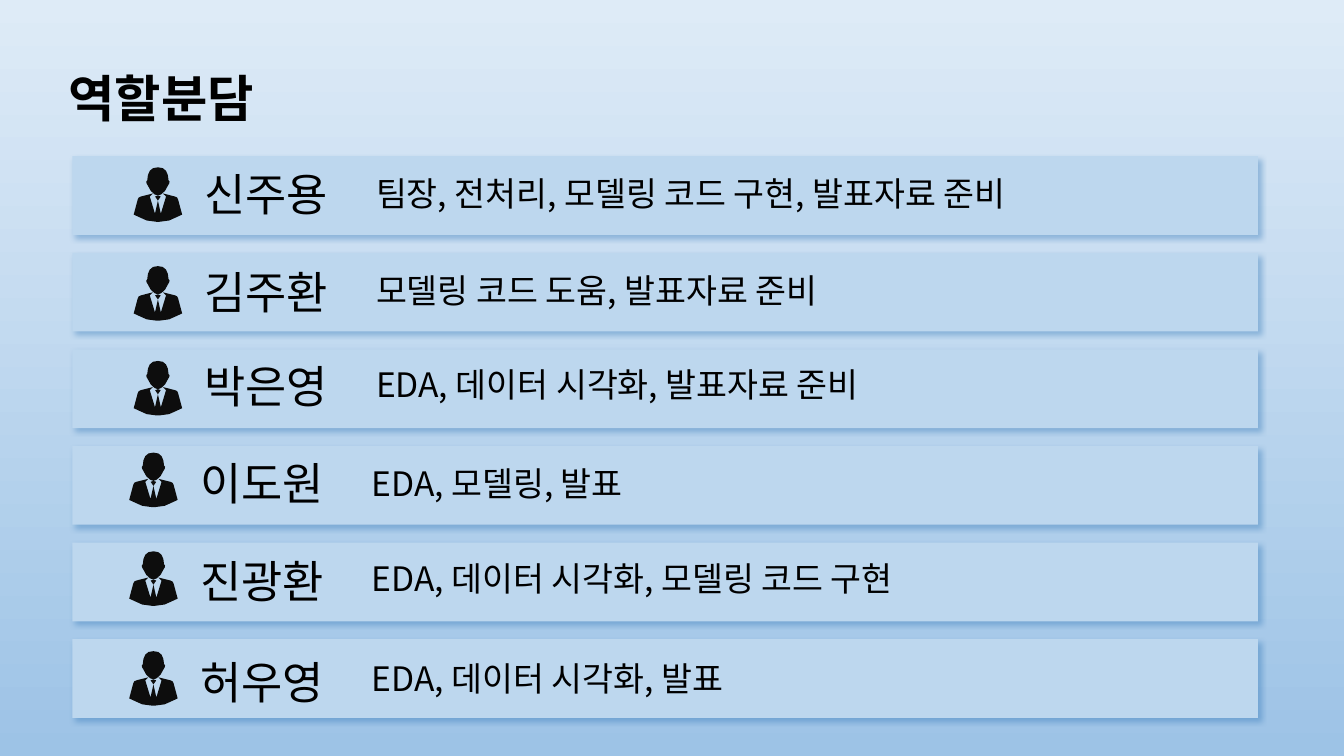
from lxml.etree import SubElement
from pptx import Presentation
from pptx.dml.color import RGBColor
from pptx.enum.shapes import MSO_SHAPE
from pptx.enum.text import MSO_ANCHOR as Anchor, MSO_AUTO_SIZE as AutoSize
from pptx.oxml.ns import qn
from pptx.util import Pt

FONT = "Noto Sans CJK KR"
BLACK, ICON_BLACK, BAR_BLUE, SHADOW_BLUE = "000000", "0D0D0D", "BDD7EE", "2E75B6"
SKY_TOP, SKY_BOTTOM = "DEEBF7", "9DC3E6"

ICON_CENTRE = 173
SUIT = [(0, 238), (21, 331), (58, 209), (36, 187), (122, 209), (137, 216),
        (144, 230), (173, 338), (125, 360), (80, 380), (12, 389)]
TIE = [(0, 202), (20, 209), (0, 238)]
HEAD = [(0, 0), (35, 6), (58, 25), (71, 55), (76, 94), (83, 101), (81, 115),
        (72, 130), (51, 168), (24, 193), (0, 202)]

MEMBERS = [
    ("신주용", "팀장, 전처리, 모델링 코드 구현, 발표자료 준비", 0, 119.5, 115.2, 120.2),
    ("김주환", "모델링 코드 도움, 발표자료 준비", 0, 190.1, 185.8, 189.4),
    ("박은영", "EDA, 데이터 시각화, 발표자료 준비", 0, 257.8, 252.7, 256.3),
    ("이도원", "EDA, 모델링, 발표", -3.2, 323.3, 321.8, 326.9),
    ("진광환", "EDA, 데이터 시각화, 모델링 코드 구현", -3.2, 393.8, 391.7, 395.3),
    ("허우영", "EDA, 데이터 시각화, 발표", -3.2, 465.1, 464.4, 466.6),
]


def color(value):
    """Turn a hex string into a colour."""
    return RGBColor.from_string(value)


class RoleSlide:
    """Hold the current slide and draw its elements in one style."""

    def __init__(self, slide):
        """Keep the slide to draw on."""
        self.slide = slide

    def background(self, top, bottom):
        """Fill the background with a vertical gradient."""
        fill = self.slide.background.fill
        fill.gradient()
        fill.gradient_angle = 270
        for stop, value in zip(fill.gradient_stops, (top, bottom)):
            stop.color.rgb = color(value)

    def paint(self, shape, value):
        """Give a shape a plain fill without line or shadow."""
        shape.fill.solid()
        shape.fill.fore_color.rgb = color(value)
        shape.line.fill.background()
        shape.shadow.inherit = False

    def bar(self, left, top, width, height):
        """Draw a bar with a soft shadow."""
        shape = self.slide.shapes.add_shape(
            MSO_SHAPE.RECTANGLE, Pt(left), Pt(top), Pt(width), Pt(height))
        self.paint(shape, BAR_BLUE)
        effects = shape._element.spPr.find(qn("a:effectLst"))
        shadow = SubElement(effects, qn("a:outerShdw"), blurRad=str(Pt(4)),
                            dist=str(Pt(3)), dir="2700000", algn="tl", rotWithShape="0")
        tint = SubElement(shadow, qn("a:srgbClr"), val=SHADOW_BLUE)
        SubElement(tint, qn("a:alpha"), val="40000")

    def person(self, left, top):
        """Draw a symmetric person icon from half outlines in tenths of a point."""
        group = self.slide.shapes.add_group_shape()
        for half in (SUIT, TIE, HEAD):
            outline = [(ICON_CENTRE + x, y) for x, y in half]
            outline += [(ICON_CENTRE - x, y) for x, y in reversed(half) if x]
            builder = group.shapes.build_freeform(*outline[0], scale=Pt(0.1))
            builder.add_line_segments(outline[1:], close=True)
            self.paint(builder.convert_to_shape(Pt(left), Pt(top)), ICON_BLACK)

    def text(self, content, left, top, width, height, size, bold=False,
             anchor=Anchor.TOP, spacing=1.0, fit=AutoSize.SHAPE_TO_FIT_TEXT):
        """Add a wrapped text box with one run."""
        box = self.slide.shapes.add_textbox(Pt(left), Pt(top), Pt(width), Pt(height))
        frame = box.text_frame
        frame.word_wrap = True
        frame.auto_size = fit
        frame.vertical_anchor = anchor
        paragraph = frame.paragraphs[0]
        paragraph.line_spacing = spacing
        run = paragraph.add_run()
        run.text = content
        run.font.size = Pt(size)
        run.font.bold = bold
        run.font.color.rgb = color(BLACK)
        run.font.name = FONT
        SubElement(run._r.get_or_add_rPr(), qn("a:ea"), typeface=FONT)


def main():
    """Build and save the role slide."""
    presentation = Presentation()
    presentation.slide_width, presentation.slide_height = Pt(960), Pt(540)
    page = RoleSlide(presentation.slides.add_slide(presentation.slide_layouts[6]))
    page.background(SKY_TOP, SKY_BOTTOM)
    page.text("역할분담", 41.8, 38.2, 877, 67.7, 36, bold=True,
              anchor=Anchor.MIDDLE, spacing=0.9, fit=AutoSize.NONE)
    for row, (name, duty, shift, icon_top, name_top, duty_top) in enumerate(MEMBERS):
        page.bar(51.8, 111.6 + 69 * row, 846.7, 56.2)
        page.person(95.5 + shift, icon_top)
        page.text(name, 139 + shift, name_top, 135.4, 46.1, 32)
        page.text(duty, 261.5 + shift, duty_top, 601.2, 36, 24)
    presentation.save("out.pptx")


if __name__ == "__main__":
    main()
